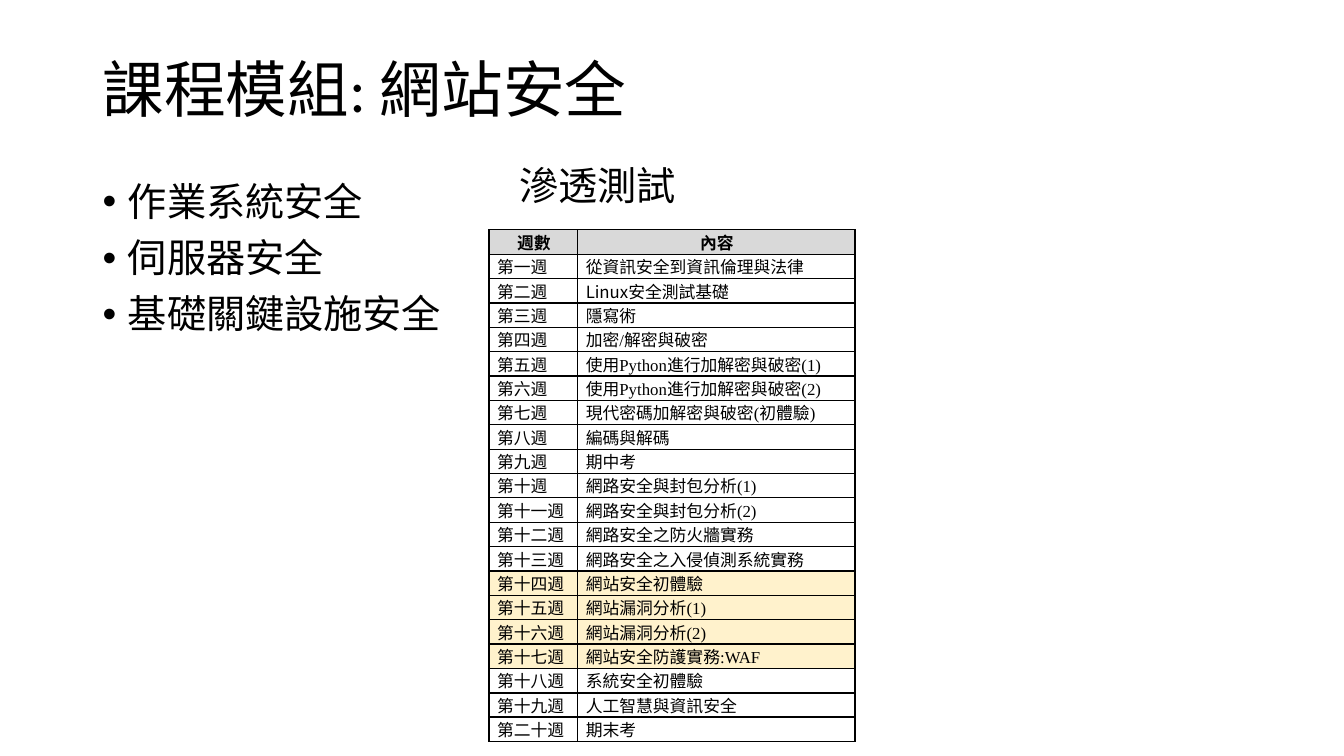
from lxml import etree
from pptx import Presentation
from pptx.dml.color import RGBColor
from pptx.enum.text import MSO_ANCHOR as Anchor, PP_ALIGN as Align
from pptx.oxml.ns import qn
from pptx.util import Inches, Pt

# Content
TITLE = "課程模組: 網站安全"
TOPICS = ["作業系統安全", "伺服器安全", "基礎關鍵設施安全"]
COURSE = "滲透測試"
HEAD = ("週數", "內容")
WEEKS = [
    ("第一週", "從資訊安全到資訊倫理與法律"),
    ("第二週", "Linux安全測試基礎"),
    ("第三週", "隱寫術"),
    ("第四週", "加密/解密與破密"),
    ("第五週", "使用Python進行加解密與破密(1)"),
    ("第六週", "使用Python進行加解密與破密(2)"),
    ("第七週", "現代密碼加解密與破密(初體驗)"),
    ("第八週", "編碼與解碼"),
    ("第九週", "期中考"),
    ("第十週", "網路安全與封包分析(1)"),
    ("第十一週", "網路安全與封包分析(2)"),
    ("第十二週", "網路安全之防火牆實務"),
    ("第十三週", "網路安全之入侵偵測系統實務"),
    ("第十四週", "網站安全初體驗"),
    ("第十五週", "網站漏洞分析(1)"),
    ("第十六週", "網站漏洞分析(2)"),
    ("第十七週", "網站安全防護實務:WAF"),
    ("第十八週", "系統安全初體驗"),
    ("第十九週", "人工智慧與資訊安全"),
    ("第二十週", "期末考"),
]
WEB = range(14, 18)  # weeks on web security
COLS = (0.88, 2.75)
TALL = 5.08  # height of the weekly plan

BLACK = RGBColor(0x00, 0x00, 0x00)
GREY = RGBColor(0xD9, 0xD9, 0xD9)
CREAM = RGBColor(0xFF, 0xF2, 0xCC)
SANS, SERIF, LINUX = "Calibri", "Times New Roman", "Noto Sans CJK SC"


def style(run, size, face, bold=False):
    font = run.font
    font.size, font.name, font.bold = Pt(size), face, bold
    font.color.rgb = BLACK


def add_text(slide, lines, box, size, space=0.9, anchor=Anchor.TOP, bullet=False):
    frame = slide.shapes.add_textbox(*map(Inches, box)).text_frame
    frame.word_wrap = True
    frame.vertical_anchor = anchor
    frame.text = "\n".join(lines)
    for i, para in enumerate(frame.paragraphs):
        para.line_spacing = space
        if i:
            para.space_before = Pt(10)
        if bullet:
            props = para._p.get_or_add_pPr()
            props.set("marL", str(Inches(0.25)))
            props.set("indent", str(Inches(-0.25)))
            etree.SubElement(props, qn("a:buFont"), typeface="Arial")
            etree.SubElement(props, qn("a:buChar"), char="•")
        style(para.runs[0], size, SANS)


def add_edges(cell, widths):
    props = cell._tc.get_or_add_tcPr()
    for i, (side, width) in enumerate(zip("LRTB", widths)):
        line = etree.Element(qn(f"a:ln{side}"), w=str(Pt(width)))
        fill = etree.SubElement(line, qn("a:solidFill"))
        etree.SubElement(fill, qn("a:srgbClr"), val=str(BLACK))
        props.insert(i, line)


def fill_cell(cell, text, row, col):
    cell.margin_left, cell.margin_right = Inches(0.08), Inches(0.07)
    cell.margin_top = cell.margin_bottom = 0
    if row == 0 or row in WEB:
        cell.fill.solid()
        cell.fill.fore_color.rgb = CREAM if row else GREY
    else:
        cell.fill.background()
    # Heavier rules on the left side and below the last three weeks
    last = len(WEEKS)
    add_edges(cell, (1 if col else 1.5, 1,
                     1.5 if row > last - 2 else 1,
                     1.5 if row > last - 3 else 1))
    para = cell.text_frame.paragraphs[0]
    if text.startswith("Linux"):
        run = para.add_run()
        run.text = "Linux"
        style(run, 12, LINUX)
        text = text.removeprefix("Linux")
    run = para.add_run()
    run.text = text
    style(run, 12, SERIF, row == 0)
    if row == 0:
        cell.vertical_anchor = Anchor.MIDDLE
        para.alignment = Align.CENTER


def add_plan(slide):
    rows = [HEAD, *WEEKS]
    size = (4.85, 2.28, sum(COLS), TALL)
    table = slide.shapes.add_table(len(rows), len(COLS), *map(Inches, size)).table
    table.horz_banding = False
    for col, width in zip(table.columns, COLS):
        col.width = Inches(width)
    for r, texts in enumerate(rows):
        table.rows[r].height = Inches(TALL / len(rows))
        for c, text in enumerate(texts):
            fill_cell(table.cell(r, c), text, r, c)


def main():
    deck = Presentation()
    deck.slide_width, deck.slide_height = Inches(13.33), Inches(7.5)
    slide = deck.slides.add_slide(deck.slide_layouts[6])
    # Title, topics, course name
    add_text(slide, [TITLE], (0.92, 0.4, 5.52, 1.04), 44, anchor=Anchor.MIDDLE)
    add_text(slide, TOPICS, (0.92, 1.76, 3.69, 1.73), 28, bullet=True)
    add_text(slide, [COURSE], (5.05, 1.64, 1.83, 0.48), 28, space=0.8)
    # Weekly plan
    add_plan(slide)
    deck.save("out.pptx")


if __name__ == "__main__":
    main()
